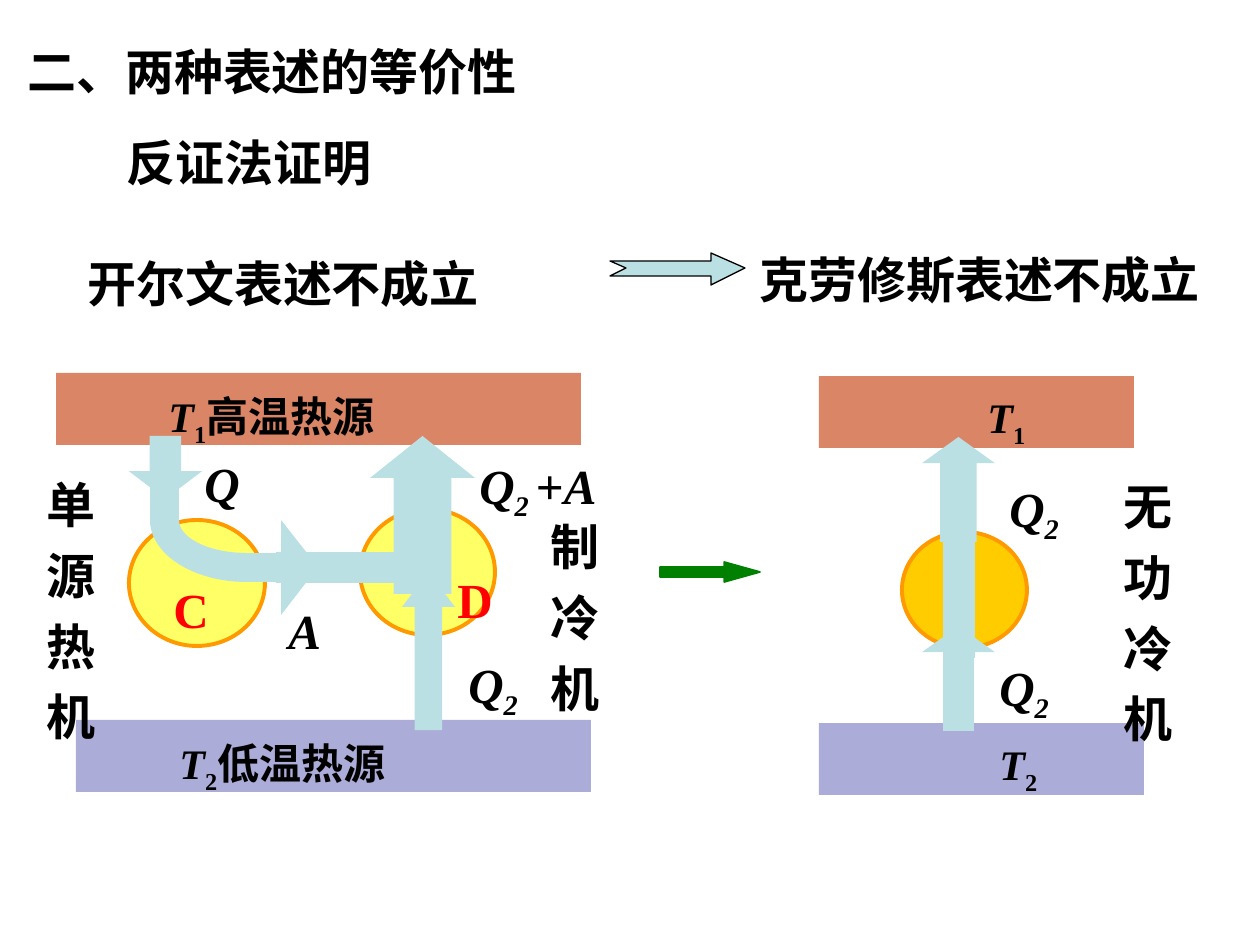
"""Builds a slide on the equivalence of two statements of the second law."""
from dataclasses import dataclass

from lxml import etree
from pptx import Presentation
from pptx import util as u
from pptx.dml.color import RGBColor
from pptx.enum import shapes, text
from pptx.oxml import ns

EMU_PER_PX = 914400 / 126
HAN = "Noto Sans CJK SC"
LATIN = "Times New Roman"
PALE, HOT, COLD = "BBE0E3", "DB8567", "ACACD8"
YELLOW, GOLD, ORANGE = "FFFF66", "FFCC00", "FF9900"
BLACK, RED, GREEN = "000000", "FF0000", "008000"
Kind = shapes.MSO_SHAPE


@dataclass
class Run:
    words: str
    italic: bool = False
    sub: bool = False


@dataclass
class Label:
    box: tuple
    runs: list
    size: int = 28
    color: str = BLACK
    wrap: bool = False
    font: str = LATIN


@dataclass
class Block:
    kind: Kind
    box: tuple
    fill: str = PALE
    line: str = ""
    weight: float = 2.25
    adjust: tuple = ()


@dataclass
class Outline:
    points: list
    line: str = ""
    weight: float = 0.75
    fill: str = PALE


def px(*lengths: float) -> list:
    return [u.Emu(round(length * EMU_PER_PX)) for length in lengths]


def rgb(value: str) -> RGBColor:
    return RGBColor.from_string(value)


def bezier(start: tuple, *controls: tuple, steps: int = 24) -> list:
    def at(t: float) -> tuple:
        weights = ((1 - t) ** 3, 3 * t * (1 - t) ** 2, 3 * t * t * (1 - t), t ** 3)
        return tuple(sum(w * p[axis] for w, p in zip(weights, (start, *controls)))
                     for axis in (0, 1))
    return [at(step / steps) for step in range(steps + 1)]


def paint(shape, part) -> None:
    shape.shadow.inherit = False
    shape.fill.solid()
    shape.fill.fore_color.rgb = rgb(part.fill)
    if part.line:
        shape.line.color.rgb = rgb(part.line)
        shape.line.width = u.Pt(part.weight)
    else:
        shape.line.fill.background()


def draw_block(slide, block: Block) -> None:
    shape = slide.shapes.add_shape(block.kind, *px(*block.box))
    for index, value in enumerate(block.adjust):
        shape.adjustments[index] = value
    paint(shape, block)


def draw_outline(slide, outline: Outline) -> None:
    start, *rest = [tuple(px(*point)) for point in outline.points]
    builder = slide.shapes.build_freeform(*start)
    builder.add_line_segments(rest, close=True)
    paint(builder.convert_to_shape(), outline)


def draw_label(slide, label: Label) -> None:
    frame = slide.shapes.add_textbox(*px(*label.box)).text_frame
    frame.word_wrap = label.wrap
    frame.auto_size = text.MSO_AUTO_SIZE.SHAPE_TO_FIT_TEXT
    paragraph = frame.paragraphs[0]
    paragraph.line_spacing = 1.2
    for part in label.runs:
        run = paragraph.add_run()
        run.text = part.words
        formats = {"size": u.Pt(label.size), "bold": True,
                   "italic": part.italic, "name": label.font}
        for name, value in formats.items():
            setattr(run.font, name, value)
        run.font.color.rgb = rgb(label.color)
        properties = run._r.get_or_add_rPr()
        etree.SubElement(properties, ns.qn("a:ea")).set("typeface", HAN)
        if part.sub:
            properties.set("baseline", "-25000")


def temperature(box: tuple, index: str, name: str = "") -> Label:
    runs = [Run("T", italic=True), Run(index, sub=True)]
    return Label(box, runs + ([Run(name)] if name else []), size=24)


def heat(left: int, top: int) -> Label:
    return Label((left, top, 76, 93), [Run("Q", True), Run("2", True, True)])


def plain(box: tuple, words: str, **options) -> Label:
    return Label(box, [Run(words)], **options)


IMPLIES = [(610, 261), (711, 261), (711, 253), (745, 268), (711, 285),
           (711, 276), (610, 276), (626, 268)]
WORK_BEND = [(318, 567), (281, 615), (281, 582),
             *bezier((247, 582), (193, 582), (150, 554), (150, 520)),
             (150, 446), (179, 446),
             *bezier((179, 520), (179, 538), (209, 553), (247, 553)),
             (281, 553), (281, 520)]

STATEMENTS = [
    Block(Kind.RIGHT_ARROW, (660, 562, 100, 20), GREEN, GREEN, 1, (0.5, 1.79)),
    plain((15, 24, 605, 83), "二、两种表述的等价性", wrap=True, font=HAN),
    plain((75, 236, 426, 83), "开尔文表述不成立", wrap=True),
    Outline(IMPLIES, BLACK),
    plain((747, 232, 475, 83), "克劳修斯表述不成立", wrap=True),
    plain((114, 115, 377, 83), "反证法证明", wrap=True),
]
COMBINED_ENGINES = [
    Block(Kind.RECTANGLE, (56, 373, 525, 72), HOT),
    temperature((156, 373, 242, 82), "1", "高温热源"),
    Block(Kind.RECTANGLE, (76, 720, 515, 72), COLD),
    temperature((167, 720, 242, 82), "2", "低温热源"),
    Label((276, 583, 58, 83), [Run("A", True)], wrap=True),
    Label((192, 436, 66, 83), [Run("Q", True)], wrap=True),
    Block(Kind.OVAL, (360, 509, 135, 126), YELLOW, ORANGE),
    heat(456, 635),
    Label((467, 436, 150, 93), [Run("Q", True), Run("2 ", True, True),
                                Run("+"), Run("A", True)]),
    Block(Kind.OVAL, (129, 520, 136, 126), YELLOW, ORANGE),
    Block(Kind.RECTANGLE, (276, 552, 126, 31)),
    Outline(WORK_BEND),
    Block(Kind.DOWN_ARROW, (129, 436, 73, 63), adjust=(0.43, 0.44)),
    Block(Kind.UP_ARROW, (370, 436, 105, 158), adjust=(0.55, 0.4)),
    Block(Kind.UP_ARROW, (402, 572, 53, 158), adjust=(0.52, 0.66)),
    plain((34, 457, 66, 295), "单源热机", wrap=True),
    plain((161, 562, 60, 83), "C", color=RED),
    plain((445, 552, 60, 83), "D", color=RED),
    plain((538, 499, 63, 224), "制冷机", wrap=True),
]
WORKLESS_REFRIGERATOR = [
    Block(Kind.RECTANGLE, (819, 376, 315, 72), HOT),
    Block(Kind.RECTANGLE, (819, 723, 325, 72), COLD),
    Block(Kind.OVAL, (902, 532, 125, 116), GOLD, ORANGE),
    heat(987, 638),
    heat(997, 459),
    temperature((975, 374, 63, 82), "1"),
    temperature((987, 721, 63, 82), "2"),
    Block(Kind.RECTANGLE, (943, 532, 32, 126)),
    Block(Kind.UP_ARROW, (922, 626, 73, 105), adjust=(0.42, 0.36)),
    Block(Kind.UP_ARROW, (922, 437, 73, 105), adjust=(0.5, 0.36)),
    plain((1111, 459, 76, 295), "无功冷机", wrap=True),
]
DRAWERS = {Block: draw_block, Outline: draw_outline, Label: draw_label}


def main() -> None:
    deck = Presentation()
    deck.slide_width, deck.slide_height = px(1260, 945)
    slide = deck.slides.add_slide(deck.slide_layouts[6])
    for part in STATEMENTS + COMBINED_ENGINES + WORKLESS_REFRIGERATOR:
        DRAWERS[type(part)](slide, part)
    deck.save("out.pptx")


if __name__ == "__main__":
    main()
